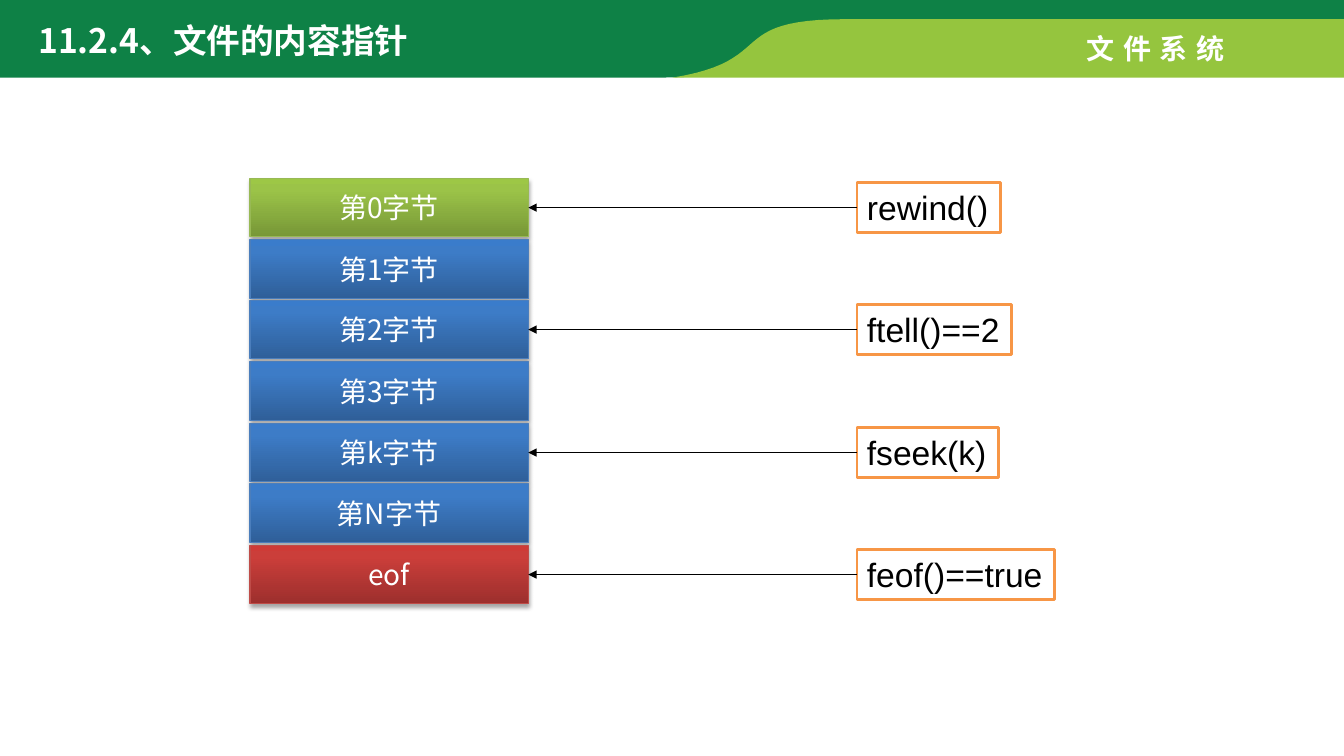
from dataclasses import dataclass

from lxml import etree
from pptx import Presentation
from pptx.dml.color import RGBColor
from pptx.enum.shapes import MSO_CONNECTOR, MSO_SHAPE
from pptx.enum.text import MSO_ANCHOR, MSO_AUTO_SIZE, PP_ALIGN
from pptx.oxml import parse_xml
from pptx.oxml.ns import nsdecls, qn
from pptx.shapes.autoshape import Shape
from pptx.shapes.connector import Connector
from pptx.slide import Slide
from pptx.util import Pt

RECTANGLE = MSO_SHAPE.RECTANGLE
STRAIGHT = MSO_CONNECTOR.STRAIGHT
TOP, MIDDLE = MSO_ANCHOR.TOP, MSO_ANCHOR.MIDDLE
LEFT, CENTER = PP_ALIGN.LEFT, PP_ALIGN.CENTER
GROW, FIXED = MSO_AUTO_SIZE.SHAPE_TO_FIT_TEXT, MSO_AUTO_SIZE.NONE

EMU_PER_PX = 9144
SLIDE_WIDTH, SLIDE_HEIGHT = 1333, 750
CELL_LEFT, CELL_TOP, CELL_WIDTH, CELL_HEIGHT = 248, 177, 276, 58
COLUMN_SPAN = 364
CALL_LEFT, CALL_HEIGHT = 850, 50
CURVE_STEPS = 24
LEFT_SITE, RIGHT_SITE = 1, 3
LATIN_FONT, CHINESE_FONT = "Arial", "Noto Sans CJK SC"

COLORS = {
    "band": "0E8146",
    "wave": "95C53E",
    "white": "FFFFFF",
    "black": "000000",
    "call_line": "F79646",
}

Point = tuple[float, float]


@dataclass(frozen=True)
class CellStyle:
    dark: str
    middle: str
    light: str
    line: str


@dataclass(frozen=True)
class ByteCell:
    text: str
    style: CellStyle


@dataclass(frozen=True)
class FileCall:
    text: str
    row: int
    width: int


GREEN = CellStyle("779737", "9BC348", "9DC746", "98B955")
BLUE = CellStyle("2F5F99", "3D7CC7", "3A7CCB", "4B7EBC")
RED = CellStyle("9C2F2D", "CB3E3A", "CE3B37", "BF4C48")

BYTE_CELLS = [
    ByteCell("第0字节", GREEN),
    *(ByteCell(f"第{index}字节", BLUE) for index in "123kN"),
    ByteCell("eof", RED),
]
FILE_CALLS = [
    FileCall("rewind()", 0, 142),
    FileCall("ftell()==2", 2, 153),
    FileCall("fseek(k)", 4, 140),
    FileCall("feof()==true", 6, 196),
]


def px(length: float) -> int:
    return round(length * EMU_PER_PX)


def color(value: str) -> RGBColor:
    return RGBColor.from_string(value)


def curve(start: Point, first: Point, second: Point, end: Point) -> list[Point]:
    points = []
    for step in range(CURVE_STEPS + 1):
        t = step / CURVE_STEPS
        weights = ((1 - t) ** 3, 3 * t * (1 - t) ** 2, 3 * t * t * (1 - t), t**3)
        controls = (start, first, second, end)
        points.append((
            sum(weight * x for weight, (x, _) in zip(weights, controls)),
            sum(weight * y for weight, (_, y) in zip(weights, controls)),
        ))
    return points


def add_outline(slide: Slide, points: list[Point], fill: str) -> None:
    corners = [(px(x), px(y)) for x, y in points]
    builder = slide.shapes.build_freeform(*corners[0], scale=1.0)
    builder.add_line_segments(corners[1:], close=True)
    shape = builder.convert_to_shape()
    shape.shadow.inherit = False
    shape.fill.solid()
    shape.fill.fore_color.rgb = color(fill)
    shape.line.fill.background()


def set_text(shape: Shape, text: str, size: int, font_name: str, text_color: str,
             bold: bool = False, align: PP_ALIGN = LEFT, anchor: MSO_ANCHOR = TOP,
             wrap: bool = True, auto_size: MSO_AUTO_SIZE = GROW, spacing: int = 0) -> None:
    frame = shape.text_frame
    frame.text = text
    frame.word_wrap = wrap
    frame.auto_size = auto_size
    frame.vertical_anchor = anchor
    paragraph = frame.paragraphs[0]
    paragraph.alignment = align
    font = paragraph.font
    font.name = font_name
    font.size = Pt(size)
    font.bold = bold
    font.color.rgb = color(text_color)
    properties = paragraph._p.pPr.find(qn("a:defRPr"))
    east_asian = etree.Element(qn("a:ea"), typeface=CHINESE_FONT)
    properties.find(qn("a:latin")).addnext(east_asian)
    if spacing:
        properties.set("spc", str(spacing * 100))


def add_rectangle(slide: Slide, left: int, top: int, width: int, height: int,
                  line: str, line_width: float) -> Shape:
    shape = slide.shapes.add_shape(RECTANGLE, px(left), px(top), px(width), px(height))
    shape.shadow.inherit = False
    shape.line.color.rgb = color(line)
    shape.line.width = Pt(line_width)
    return shape


def row_top(row: int) -> int:
    return CELL_TOP + round(COLUMN_SPAN * row / (len(BYTE_CELLS) - 1))


def add_byte_cell(slide: Slide, row: int, cell: ByteCell) -> Shape:
    style = cell.style
    shape = add_rectangle(slide, CELL_LEFT, row_top(row), CELL_WIDTH, CELL_HEIGHT, style.line, 0.75)
    stops = "".join(
        f'<a:gs pos="{position * 1000}"><a:srgbClr val="{value}"/></a:gs>'
        for position, value in ((0, style.dark), (80, style.middle), (100, style.light))
    )
    properties = shape._element.spPr
    properties.find(qn("a:prstGeom")).addnext(parse_xml(
        f'<a:gradFill {nsdecls("a")} rotWithShape="1"><a:gsLst>{stops}</a:gsLst>'
        '<a:lin ang="16200000" scaled="0"/></a:gradFill>'
    ))
    properties.find(qn("a:effectLst")).append(parse_xml(
        f'<a:outerShdw {nsdecls("a")} blurRad="40000" dist="23000" dir="5400000" rotWithShape="0">'
        f'<a:srgbClr val="{COLORS["black"]}"><a:alpha val="35000"/></a:srgbClr></a:outerShdw>'
    ))
    set_text(shape, cell.text, 20, CHINESE_FONT, COLORS["white"],
             align=CENTER, anchor=MIDDLE, auto_size=FIXED)
    return shape


def add_file_call(slide: Slide, call: FileCall) -> Shape:
    top = row_top(call.row) + (CELL_HEIGHT - CALL_HEIGHT) // 2
    shape = add_rectangle(slide, CALL_LEFT, top, call.width, CALL_HEIGHT, COLORS["call_line"], 2)
    shape.fill.solid()
    shape.fill.fore_color.rgb = color(COLORS["white"])
    set_text(shape, call.text, 24, LATIN_FONT, COLORS["black"], wrap=False)
    return shape


def add_arrow(slide: Slide, source: Shape, target: Shape) -> Connector:
    connector = slide.shapes.add_connector(STRAIGHT, 0, 0, 0, 0)
    connector.begin_connect(source, LEFT_SITE)
    connector.end_connect(target, RIGHT_SITE)
    connector.line.color.rgb = color(COLORS["black"])
    connector.line.width = Pt(0.75)
    etree.SubElement(connector.line._get_or_add_ln(), qn("a:tailEnd"), type="triangle")
    etree.SubElement(connector._element.spPr, qn("a:effectLst"))
    return connector


def add_header(slide: Slide) -> None:
    band = [(0, -3), (SLIDE_WIDTH, -3), (SLIDE_WIDTH, 24), (827, 24)]
    band += curve((809, 28), (727, 44), (770, 77), (655, 77)) + [(0, 77)]
    add_outline(slide, band, COLORS["band"])
    wave = [(SLIDE_WIDTH, 19), (SLIDE_WIDTH, 77)]
    wave += curve((667, 77), (773, 60), (717, 19), (839, 19))
    add_outline(slide, wave, COLORS["wave"])
    chapter = slide.shapes.add_textbox(px(1068), px(26), px(166), px(44))
    set_text(chapter, "文件系统", 20, LATIN_FONT, COLORS["white"], bold=True, wrap=False, spacing=6)
    title = slide.shapes.title
    title.left, title.top, title.width, title.height = px(28), px(15), px(498), px(50)
    set_text(title, "11.2.4、文件的内容指针", 24, CHINESE_FONT, COLORS["white"], bold=True)
    slide.shapes._spTree.append(title._element)


def main() -> None:
    presentation = Presentation()
    presentation.slide_width, presentation.slide_height = px(SLIDE_WIDTH), px(SLIDE_HEIGHT)
    slide = presentation.slides.add_slide(presentation.slide_layouts.get_by_name("Title Only"))
    add_header(slide)
    cells = [add_byte_cell(slide, row, cell) for row, cell in enumerate(BYTE_CELLS)]
    for call in FILE_CALLS:
        add_arrow(slide, add_file_call(slide, call), cells[call.row])
    presentation.save("out.pptx")


if __name__ == "__main__":
    main()
